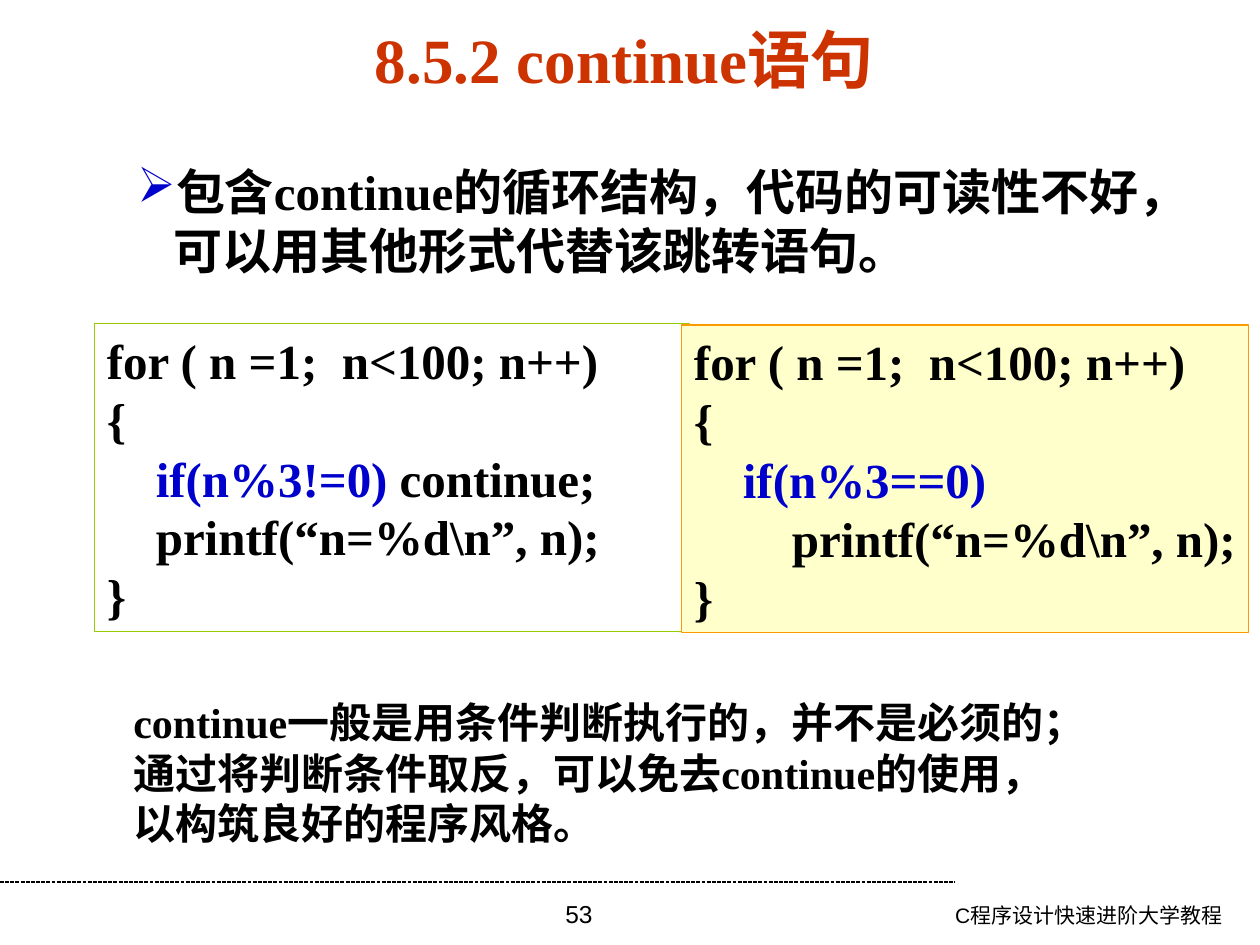
from dataclasses import dataclass
from typing import Optional

from lxml import etree
from pptx import Presentation
from pptx.dml.color import RGBColor
from pptx.enum.dml import MSO_LINE
from pptx.enum.shapes import MSO_CONNECTOR, MSO_SHAPE
from pptx.enum.text import MSO_ANCHOR, MSO_AUTO_SIZE, PP_ALIGN
from pptx.oxml.ns import qn
from pptx.util import Inches, Pt

LEFT, CENTER, RIGHT = PP_ALIGN.LEFT, PP_ALIGN.CENTER, PP_ALIGN.RIGHT
TOP, MIDDLE = MSO_ANCHOR.TOP, MSO_ANCHOR.MIDDLE
GROW, FIXED = MSO_AUTO_SIZE.SHAPE_TO_FIT_TEXT, MSO_AUTO_SIZE.NONE
RECT, STRAIGHT = MSO_SHAPE.RECTANGLE, MSO_CONNECTOR.STRAIGHT
DASH = MSO_LINE.SQUARE_DOT

WIDTH, HEIGHT = Inches(10), Inches(7.5)
SERIF, SANS = "Times New Roman", "Arial"
COLORS = {
    "text": "000000",
    "title": "CC3300",
    "accent": "0000CC",
    "green": "99CC00",
    "orange": "FF9900",
    "cream": "FFFFCC",
}


@dataclass
class Run:
    text: str
    color: str = "text"


@dataclass
class Para:
    runs: list[Run]
    margin: float = 0
    indent: float = 0
    bullet: str = ""


@dataclass
class Block:
    """Position and size are percentages of the slide."""
    x: float
    y: float
    w: float
    h: float
    paras: list[Para]
    size: float
    font: str = SERIF
    bold: bool = True
    align: PP_ALIGN = LEFT
    anchor: MSO_ANCHOR = MIDDLE
    wrap: bool = True
    auto: MSO_AUTO_SIZE = GROW
    right_inset: float = 0.1
    line: Optional[str] = None
    fill: Optional[str] = None


def rgb(name: str) -> RGBColor:
    return RGBColor.from_string(COLORS[name])


def px(share: float) -> int:
    return int(WIDTH * share / 100)


def py(share: float) -> int:
    return int(HEIGHT * share / 100)


def plain(*lines: str, color: str = "text") -> list[Para]:
    return [Para([Run(line, color)]) for line in lines]


def set_indent(p, para: Para) -> None:
    pPr = p._p.get_or_add_pPr()
    pPr.set("marL", str(Inches(para.margin)))
    pPr.set("indent", str(Inches(para.indent)))
    if para.bullet:
        clr = etree.SubElement(pPr, qn("a:buClr"))
        etree.SubElement(clr, qn("a:srgbClr")).set("val", COLORS["accent"])
        etree.SubElement(pPr, qn("a:buChar")).set("char", para.bullet)


def add_block(slide, b: Block) -> None:
    box = px(b.x), py(b.y), px(b.w), py(b.h)
    if b.line:
        s = slide.shapes.add_shape(RECT, *box)
        s.shadow.inherit = False
        s.line.color.rgb = rgb(b.line)
        s.line.width = Pt(0.75)
        if b.fill:
            s.fill.solid()
            s.fill.fore_color.rgb = rgb(b.fill)
        else:
            s.fill.background()
    else:
        s = slide.shapes.add_textbox(*box)
    tf = s.text_frame
    frame = {
        "word_wrap": b.wrap,
        "auto_size": b.auto,
        "vertical_anchor": b.anchor,
        "margin_left": Inches(0.1),
        "margin_right": Inches(b.right_inset),
        "margin_top": Inches(0.05),
        "margin_bottom": Inches(0.05),
    }
    for name, value in frame.items():
        setattr(tf, name, value)
    for i, para in enumerate(b.paras):
        p = tf.add_paragraph() if i else tf.paragraphs[0]
        p.alignment = b.align
        set_indent(p, para)
        for run in para.runs:
            r = p.add_run()
            r.text = run.text
            for name, value in {"name": b.font, "size": Pt(b.size), "bold": b.bold}.items():
                setattr(r.font, name, value)
            r.font.color.rgb = rgb(run.color)


def add_rule(slide, y: float, x2: float) -> None:
    c = slide.shapes.add_connector(STRAIGHT, 0, py(y), px(x2), py(y))
    c.line.color.rgb = rgb("text")
    c.line.width = Pt(0.75)
    c.line.dash_style = DASH
    etree.SubElement(c._element.spPr, qn("a:effectLst"))


def code(*body: Para) -> list[Para]:
    return [*plain("for ( n =1;  n<100; n++)", "{"), *body, *plain("}")]


BLOCKS = [
    Block(65.7, 94.8, 32.3, 5.2, plain("C程序设计快速进阶大学教程"), 12, SANS, False,
          RIGHT, TOP, auto=FIXED),
    Block(34.3, 94.53, 23.3, 5.47, plain("53"), 14, SANS, False, CENTER, TOP, auto=FIXED),
    Block(4.3, 2.8, 90.5, 6.67, plain("8.5.2 continue语句", color="title"), 36,
          align=CENTER, auto=FIXED),
    Block(7.5, 34.27, 47.2, 32.53, code(
        Para([Run("    "), Run("if(n%3!=0)", "accent"), Run(" continue;")]),
        *plain("    printf(“n=%d\\n”, n);"),
    ), 28, line="green"),
    Block(54.1, 34.4, 45, 32.53, code(
        *plain("    if(n%3==0)", color="accent"),
        *plain("        printf(“n=%d\\n”, n);"),
    ), 28, wrap=False, line="orange", fill="cream"),
    Block(9.9, 16.4, 87.2, 13.87, [
        Para([Run("包含continue的循环结构，代码的可读性不好，")], 0.25, -0.25, "➢"),
        Para([Run("可以用其他形式代替该跳转语句。")], 0.29),
    ], 28, auto=FIXED, right_inset=0.6),
    Block(9.6, 73.07, 78.3, 17.33, plain(
        "continue一般是用条件判断执行的，并不是必须的；",
        "通过将判断条件取反，可以免去continue的使用，",
        "以构筑良好的程序风格。",
    ), 24, wrap=False),
]


def main() -> None:
    prs = Presentation()
    prs.slide_width, prs.slide_height = WIDTH, HEIGHT
    slide = prs.slides.add_slide(prs.slide_layouts[6])
    add_rule(slide, 93.33, 75.8)
    for block in BLOCKS:
        add_block(slide, block)
    prs.save("out.pptx")


if __name__ == "__main__":
    main()
